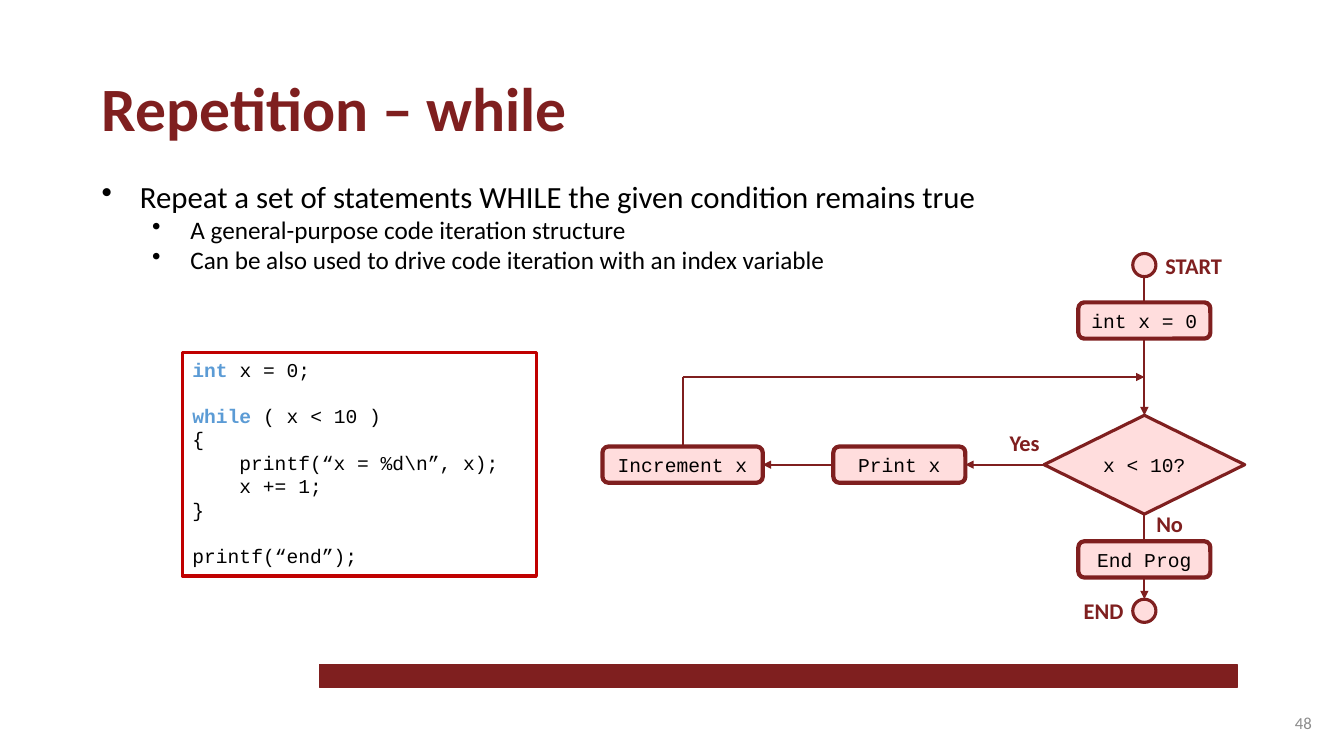
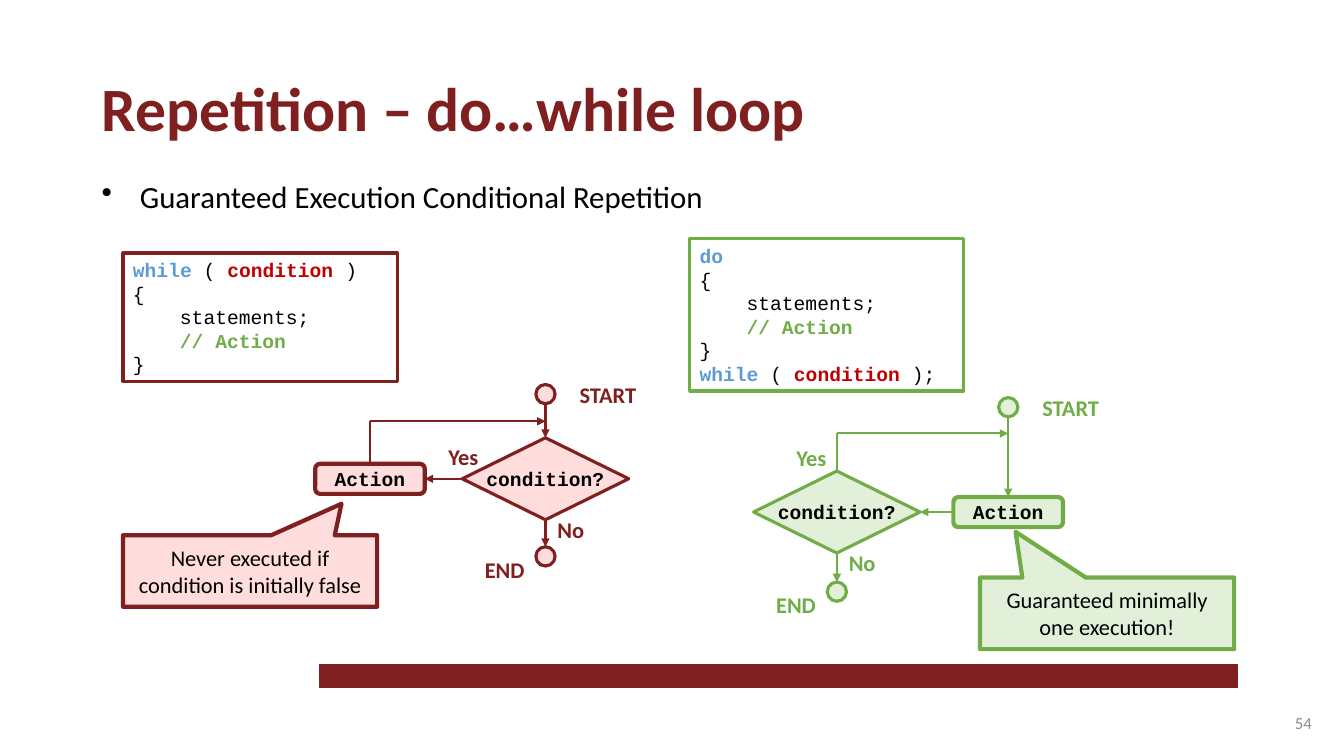
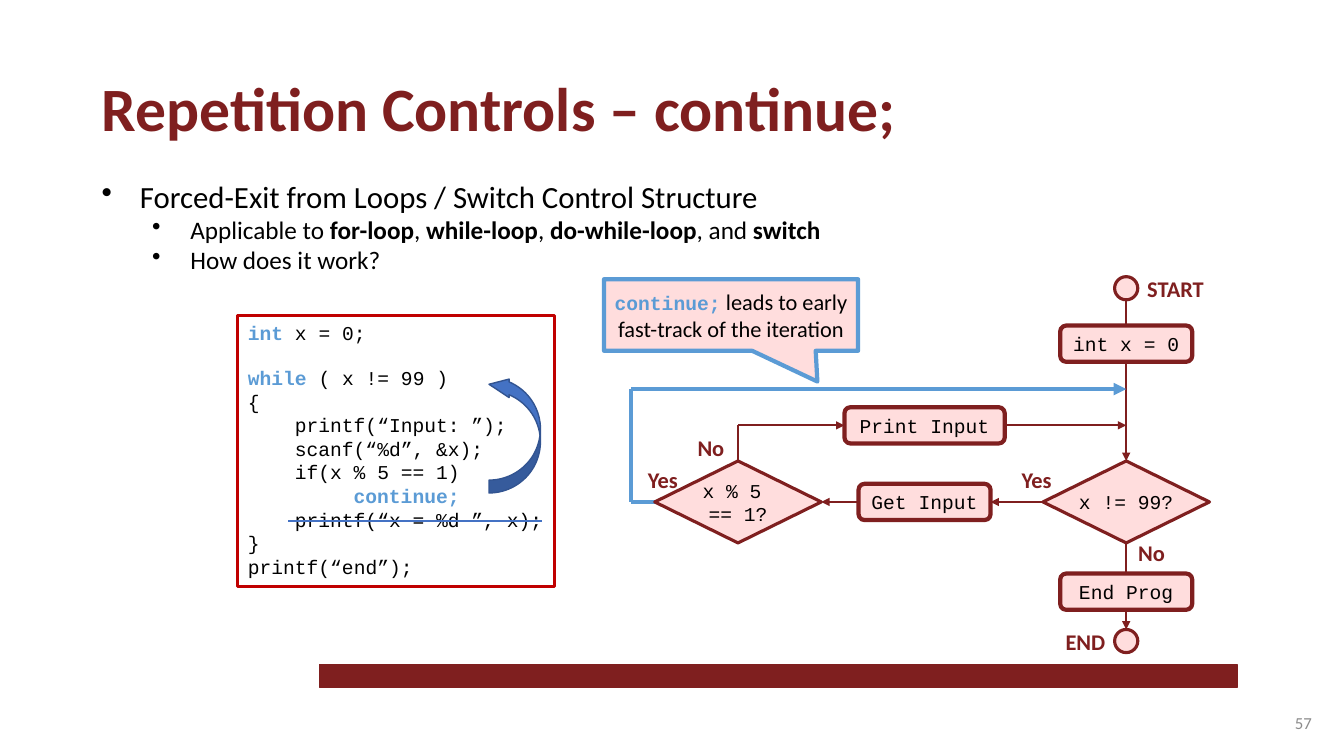
from itertools import pairwise
from lxml.etree import SubElement as sub
from pptx import Presentation
from pptx.dml.color import RGBColor
from pptx.enum.shapes import MSO_CONNECTOR as Conn, MSO_SHAPE as Form
from pptx.enum.text import MSO_ANCHOR as Anchor, PP_ALIGN as Align
from pptx.oxml.ns import qn
from pptx.util import Inches, Pt

deck = Presentation()
deck.slide_width, deck.slide_height = Inches(13.33), Inches(7.5)
cell = deck.slide_height / 75
rgb = RGBColor.from_string

wine, red, sky, leaf = "7F1F1F", "C00000", "5B9BD5", "70AD47"
black, white, grey, blue, navy = "000000", "FFFFFF", "8C8C8C", "4472C4", "325491"
pale = {wine: "FFDDDD", sky: "FFDDDD", leaf: "E2F0D9"}
tint = {"int": sky, "while": sky, "do": sky, "continue;": sky,
        "condition": red, "// Action": leaf}

head = dict(name="Calibri", size=Pt(44), bold=True)
body = dict(name="Calibri", size=Pt(22))
small = dict(name="Calibri", size=Pt(18))
foot = dict(name="Calibri", size=Pt(12))
mark = dict(name="Calibri", size=Pt(16), bold=True)
talk = dict(name="Calibri", size=Pt(16))
mono = dict(name="Courier New", size=Pt(14))


def write(frame, text, look, hue=black, align=Align.LEFT):
    gap, para = 0, None
    for line in text.split("\n"):
        if not line:
            gap = Pt(15.9)
            continue
        para = frame.add_paragraph() if para else frame.paragraphs[0]
        para.alignment = align
        bare = line.lstrip(" •")
        step, depth = len(line) - len(bare), line.count("•")
        prop = para._p.get_or_add_pPr()
        if depth:
            para.level = depth - 1
            prop.set("marL", str(Inches(depth / 2 - 0.12)))
            prop.set("indent", str(Inches(-0.38)))
            sub(prop, qn("a:buChar")).set("char", "•")
        elif step:
            prop.set("marL", str(Pt(8.4 * step)))
        if gap:
            para.space_before, gap = gap, 0
        for turn, part in enumerate(bare.split("`")):
            if not part:
                continue
            run = para.add_run()
            run.text = part
            form = small if depth > 1 else look
            ink = hue
            if turn % 2:
                ink = tint.get(part, hue)
                form = (mono if part in tint else form) | dict(bold=True)
            for key, val in form.items():
                setattr(run.font, key, val)
            run.font.color.rgb = rgb(ink)


def put(form, x, y, w, h, fill=None, edge=None, wide=1):
    box = [round(v * cell) for v in (x, y, w, h)]
    if form is None:
        item = page.shapes.add_textbox(*box)
    else:
        item = page.shapes.add_shape(form, *box)
        item.shadow.inherit = False
        item.fill.solid()
        item.fill.fore_color.rgb = rgb(fill)
        item.line.color.rgb = rgb(edge)
        item.line.width = Pt(wide)
    item.text_frame.word_wrap = True
    return item


pages = [
    dict(
        title="Repetition – while", num="48",
        list="•Repeat a set of statements WHILE the given condition remains true\n"
             "••A general-purpose code iteration structure\n"
             "••Can be also used to drive code iteration with an index variable",
        code=[(red, 18.1, 35, 35.1,
               "`int` x = 0;\n\n`while` ( x < 10 )\n{\n"
               "    printf(“x = %d\\n”, x);\n    x += 1;\n}\n\nprintf(“end”);")],
        charts=[dict(
            hue=wine, zoom=1, wide=1, slack=0, cols=[67.7, 89.2, 113.5],
            rows={26.3: "||START", 31.8: "||int x = 0", 37.4: "||b",
                  46.1: "Increment x|Print x|x < 10?",
                  55.5: "||End Prog", 60.6: "||END"},
            links=["START|x < 10?", "x < 10?|Print x|Yes", "Print x|Increment x",
                   "Increment x|b", "x < 10?|END|No"])],
        notes=[],
    ),
    dict(
        title="Repetition – do…while loop", num="54",
        list="•Guaranteed Execution Conditional Repetition",
        code=[(wine, 12.2, 25.1, 27.2,
               "`while` ( `condition` )\n{\n    statements;\n    `// Action`\n}"),
              (leaf, 68.4, 23.7, 27.2,
               "`do`\n{\n    statements;\n    `// Action`\n}\n`while` ( `condition` );")],
        charts=[
            dict(hue=wine, zoom=0.83, wide=0.83, slack=1.3, cols=[36.7, 54.1],
                 rows={39.1: "|START", 41.8: "|b",
                       47.5: "`Action`|`condition?`", 55.2: "|END"},
                 links=["START|`condition?`", "`condition?`|`Action`|Yes",
                        "`Action`|b", "`condition?`|END|No"]),
            dict(hue=leaf, zoom=0.83, wide=0.83, slack=1.3, cols=[83, 100],
                 rows={40.4: "|START", 43: "|b",
                       50.8: "`condition?`|`Action`", 58.7: "END|"},
                 links=["START|`Action`", "`Action`|`condition?`",
                        "`condition?`|b|Yes", "`condition?`|END|No"])],
        notes=[(wine, 12.2, 53.1, "Never executed if condition is initially false",
                0.36, -0.94),
               (leaf, 97.2, 57.3, "Guaranteed minimally one execution!",
                -0.36, -1.14)],
    ),
    dict(
        title="Repetition Controls – continue;", num="57",
        list="•Forced-Exit from Loops / Switch Control Structure\n"
             "••Applicable to `for-loop`, `while-loop`, `do-while-loop`, and `switch`\n"
             "••How does it work?",
        code=[(red, 23.6, 31.3, 31.4,
               "`int` x = 0;\n\n`while` ( x != 99 )\n{\n    printf(“Input: ”);\n"
               "    scanf(“%d”, &x);\n    if(x % 5 == 1)\n         `continue;`\n"
               "    printf(“x = %d ”, x);\n}\nprintf(“end”);")],
        charts=[dict(
            hue=wine, zoom=1, wide=0.83, slack=0, cols=[62.6, 73.2, 91.7, 111.7],
            rows={28.6: "|||START", 34.1: "|||int x = 0", 38.6: "|||c",
                  42.2: "||Print Input|b",
                  49.8: "a|x % 5 \n== 1?|Get Input|x != 99?",
                  58.7: "|||End Prog", 63.6: "|||END"},
            links=["START|x != 99?", "x != 99?|Get Input|Yes",
                   "Get Input|x % 5 \n== 1?", "x % 5 \n== 1?|Print Input|No",
                   "Print Input|b", "x != 99?|END|No",
                   "x % 5 \n== 1?|a|Yes", "a|c"])],
        notes=[(sky, 59.9, 27.7,
                "`continue;` leads to early fast-track of the iteration",
                0.34, 0.93)],
    ),
]

for info in pages:
    page = deck.slides.add_slide(deck.slide_layouts[6])
    put(Form.RECTANGLE, 31.7, 65.9, 91, 2.3, wine, wine)

    title, items = info["title"], info["list"]
    write(put(None, 9.1, 6.4, 2.8 * len(title), 8.4).text_frame, title, head, wine)
    tall = 10.8 + 3 * items.count("\n")
    write(put(None, 9.1, 17.1, 115.1, tall).text_frame, items, body)
    num = put(None, 101.1, 69.7, 30, 4).text_frame
    num.vertical_anchor = Anchor.MIDDLE
    write(num, info["num"], foot, grey, Align.RIGHT)

    for hue, x, y, w, text in info["code"]:
        tall = 3.35 + 2.35 * text.count("\n")
        frame = put(Form.RECTANGLE, x, y, w, tall, white, hue, 2.25).text_frame
        frame.vertical_anchor = Anchor.TOP
        write(frame, text, mono)

    for chart in info["charts"]:
        base, zoom, wide, slack = (chart[k] for k in ("hue", "zoom", "wide", "slack"))
        nodes, tags = {}, []
        for y, names in chart["rows"].items():
            for x, name in zip(chart["cols"], names.split("|")):
                if len(name) < 2:
                    form, w, h = None, 0, 0
                elif name in ("START", "END"):
                    form, w, h = Form.OVAL, 2.3 * zoom, 2.3 * zoom
                    spot = (x + 1.1 + slack, y - 1.8) if name == "START" else (
                        x - 7, y - 1.8 + slack)
                    tags.append((name, *spot))
                elif "?" in name:
                    form, w, h = Form.DIAMOND, 19.9 * wide, 9.8 * wide
                else:
                    form, h = Form.ROUNDED_RECTANGLE, 3.6 * zoom
                    w = max(13.1, 1.4 * len(name) + 0.5) * zoom
                if name:
                    nodes[name] = form, x, y, w, h

        for route in chart["links"]:
            start, end, *word = route.split("|")
            _, x, y, w, h = nodes[start]
            _, u, v, p, q = nodes[end]
            side = 1 if u > x else -1
            if y == v:
                spots = [(x + side * w / 2, y), (u - side * p / 2, v)]
                spot = (spots[0][0] + spots[1][0]) / 2 - 0.5, y - 4
            elif x == u:
                spots = [(x, y + h / 2), (u, v - q / 2)]
                spot = x + 0.2, y + h / 2 - 0.9
            else:
                spots = [(x, y - h / 2), (x, v), (u - side * p / 2, v)]
                spot = x - 5, y - h / 2 - 3.2
            if word:
                tags.append((*word, *spot))
            fast = "a" in (start, end)
            legs = list(pairwise(spots))
            for leg in legs:
                ends = [round(n * cell) for dot in leg for n in dot]
                link = page.shapes.add_connector(Conn.STRAIGHT, *ends)
                link.line.color.rgb = rgb(sky if fast else base)
                link.line.width = Pt(3 if fast else 1.5)
                prop = link._element.spPr
                if end != "a" and leg == legs[-1]:
                    sub(prop.find(qn("a:ln")), qn("a:tailEnd")).set("type", "triangle")
                sub(prop, qn("a:effectLst"))

        for name, (form, x, y, w, h) in nodes.items():
            if form is None:
                continue
            edge = 3 if form == Form.ROUNDED_RECTANGLE else 2.25
            node = put(form, x - w / 2, y - h / 2, w, h, pale[base], base, edge)
            if form != Form.OVAL:
                node.text_frame.word_wrap = form != Form.DIAMOND
                node.text_frame.vertical_anchor = Anchor.MIDDLE
                write(node.text_frame, name, mono, black, Align.CENTER)

        for text, x, y in tags:
            w = 5.7 if text in ("Yes", "No") else 11.5 * zoom
            write(put(None, x, y, w, 3.7).text_frame, text, mark, base)

    for hue, x, y, text, *tip in info["notes"]:
        note = put(Form.RECTANGULAR_CALLOUT, x, y, 25.2, 7.1, pale[hue], hue, 3)
        for i, val in enumerate(tip):
            note.adjustments[i] = val
        note.text_frame.vertical_anchor = Anchor.MIDDLE
        write(note.text_frame, text, talk, black, Align.CENTER)

back = put(Form.CURVED_RIGHT_ARROW, 48.5, 37.2, 5.1, 11.7, blue, navy)
back.rotation = 180
for i, val in enumerate((0.25, 0.36, 0.39)):
    back.adjustments[i] = val

ends = [round(n * cell) for n in (28.6, 51.7, 53.8, 51.7)]
strike = page.shapes.add_connector(Conn.STRAIGHT, *ends)
strike.line.color.rgb = rgb(blue)
strike.line.width = Pt(1.5)
sub(strike._element.spPr, qn("a:effectLst"))

deck.save("out.pptx")
